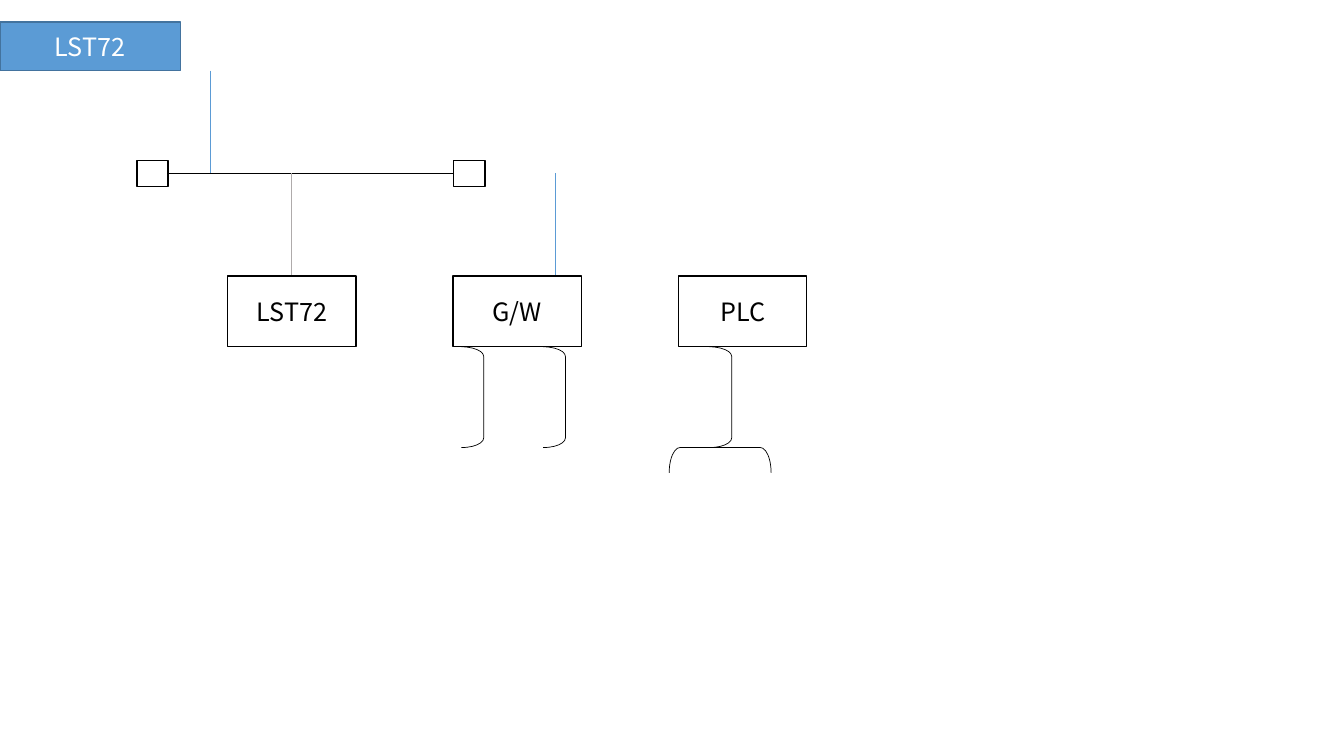
"""Build a slide with a small network diagram: host, bus, stations and links."""
from dataclasses import dataclass

from pptx import Presentation
from pptx.dml.color import RGBColor
from pptx.enum.shapes import MSO_CONNECTOR as Link, MSO_SHAPE as Preset
from pptx.enum.text import MSO_ANCHOR as Anchor, PP_ALIGN as Align
from pptx.oxml.ns import qn
from pptx.util import Cm, Pt


@dataclass(frozen=True)
class Theme:
    font: str = "Noto Sans CJK JP"
    label_size: float = 18
    border: float = 1
    wire: float = 0.5
    black: str = "000000"
    white: str = "FFFFFF"
    blue: str = "5B9BD5"
    dark_blue: str = "43739E"
    gray: str = "AFABAB"


THEME = Theme()
BUS_Y = 4.37
STATION_TOP, STATION_WIDTH, STATION_HEIGHT = 6.96, 3.23, 1.78
STATION_BOTTOM = STATION_TOP + STATION_HEIGHT
FIRST_STATION, STATION_PITCH = 5.74, 5.68


def rgb(colour):
    return RGBColor.from_string(colour)


def stroke(line, colour, width):
    line.color.rgb = rgb(colour)
    line.width = Pt(width)


def write(shape, text, *, colour=THEME.black, size=THEME.label_size):
    frame = shape.text_frame
    frame.word_wrap = True
    frame.vertical_anchor = Anchor.MIDDLE
    paragraph = frame.paragraphs[0]
    paragraph.alignment = Align.CENTER
    run = paragraph.add_run()
    run.text = text
    run.font.name = THEME.font
    run.font.size = Pt(size)
    run.font.color.rgb = rgb(colour)
    properties = run.font._element
    east_asian = properties.makeelement(qn("a:ea"), {"typeface": THEME.font})
    properties.find(qn("a:latin")).addnext(east_asian)


def add_box(shapes, left, top, width, height, fill=THEME.white, border=THEME.black):
    box = shapes.add_shape(Preset.RECTANGLE, Cm(left), Cm(top), Cm(width), Cm(height))
    box.shadow.inherit = False
    box.fill.solid()
    box.fill.fore_color.rgb = rgb(fill)
    stroke(box.line, border, THEME.border)
    return box


def add_wire(shapes, start, end, colour):
    wire = shapes.add_connector(Link.STRAIGHT, *map(Cm, start + end))
    stroke(wire.line, colour, THEME.wire)
    properties = wire._element.spPr
    properties.append(properties.makeelement(qn("a:effectLst"), {}))
    return wire


def add_bracket(shapes, left, top, width, height, rotation=0):
    bracket = shapes.add_shape(
        Preset.RIGHT_BRACKET, Cm(left), Cm(top), Cm(width), Cm(height))
    bracket.shadow.inherit = False
    bracket.adjustments[0] = 0.433
    bracket.rotation = rotation
    bracket.fill.background()
    stroke(bracket.line, THEME.black, THEME.wire)


def add_bus(shapes):
    bus = shapes.add_group_shape().shapes
    width, height = 0.79, 0.66
    left_end, right_end = [
        add_box(bus, left, BUS_Y - height / 2, width, height) for left in (3.45, 11.43)]
    trunk = add_wire(bus, (3.45 + width, BUS_Y), (11.43, BUS_Y), THEME.black)
    trunk.begin_connect(left_end, 3)
    trunk.end_connect(right_end, 1)


def add_station(shapes, index, name):
    left = FIRST_STATION + index * STATION_PITCH
    station = add_box(shapes, left, STATION_TOP, STATION_WIDTH, STATION_HEIGHT)
    write(station, name)
    return station


def main():
    deck = Presentation()
    deck.slide_width, deck.slide_height = Cm(33.87), Cm(19.05)
    shapes = deck.slides.add_slide(deck.slide_layouts[6]).shapes

    add_bus(shapes)
    add_wire(shapes, (5.31, 1.78), (5.31, BUS_Y), THEME.blue)
    add_wire(shapes, (14, BUS_Y), (14, STATION_TOP), THEME.blue)
    drop_x = FIRST_STATION + STATION_WIDTH / 2
    drop = add_wire(shapes, (drop_x, BUS_Y), (drop_x, STATION_TOP), THEME.gray)

    stations = [add_station(shapes, index, name)
                for index, name in enumerate(("LST72", "G/W", "PLC"))]
    drop.end_connect(stations[0], 0)

    for left in (11.63, 13.69, 17.88):
        add_bracket(shapes, left, STATION_BOTTOM, 0.56, 2.54)
    add_bracket(shapes, 17.83, 10.31, 0.64, 2.57, rotation=270)

    host = add_box(shapes, 0, 0.56, 4.55, 1.22, THEME.blue, THEME.dark_blue)
    write(host, "LST72", colour=THEME.white)

    deck.save("out.pptx")


if __name__ == "__main__":
    main()
